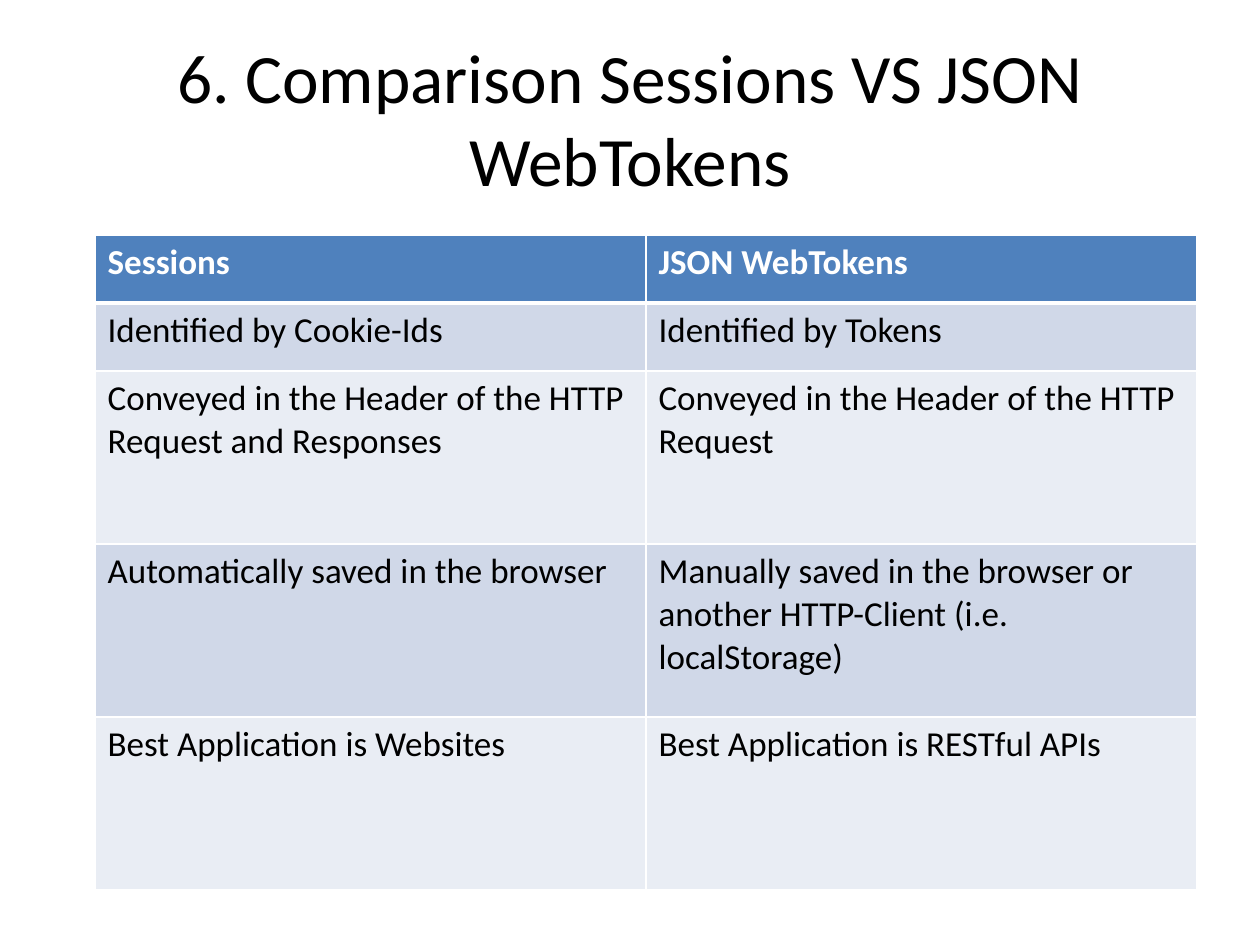
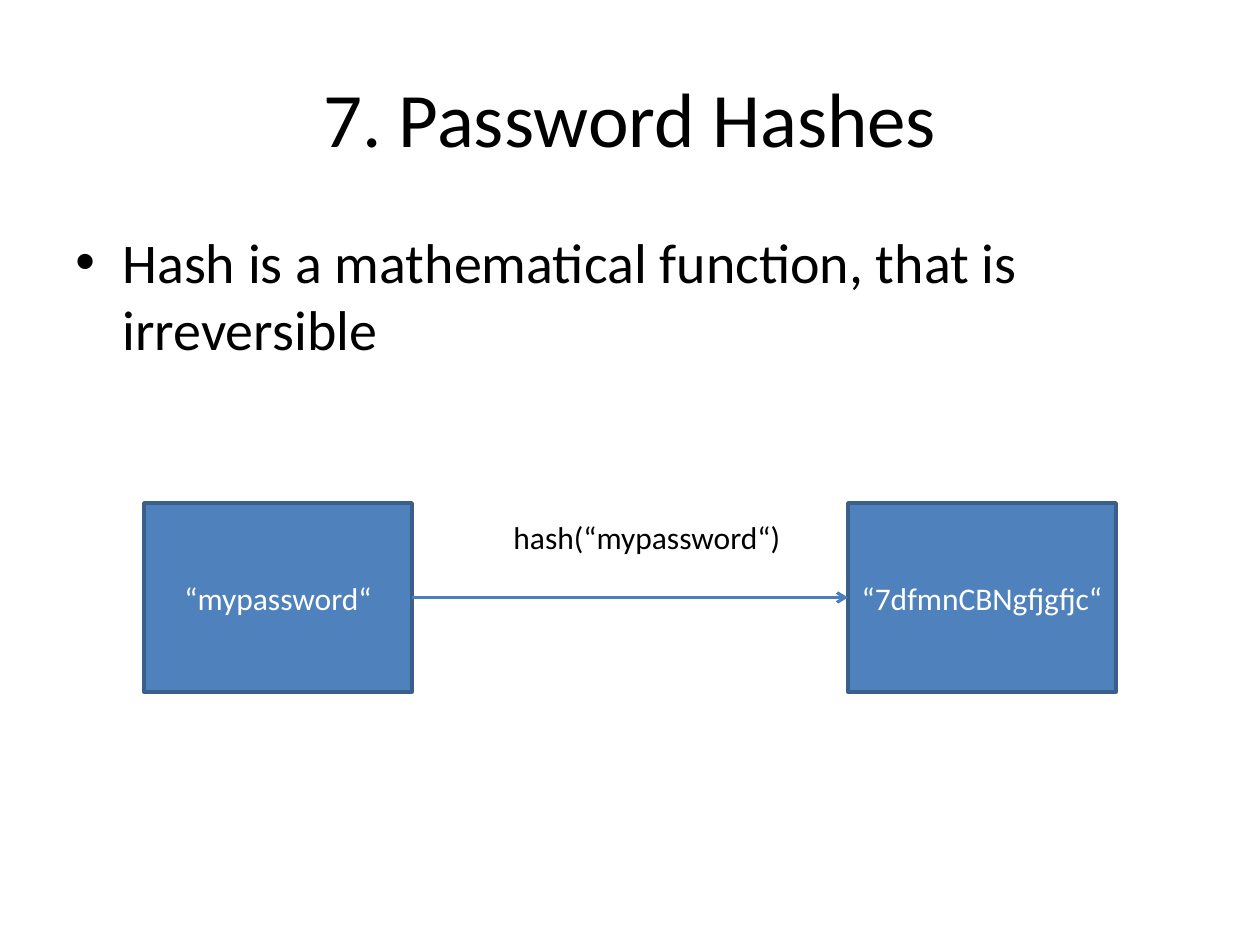
from lxml import etree
from pptx import Presentation
from pptx.dml.color import RGBColor
from pptx.enum.shapes import MSO_CONNECTOR, MSO_SHAPE
from pptx.enum.text import MSO_ANCHOR, PP_ALIGN
from pptx.oxml.ns import qn
from pptx.util import Emu, Pt

EMU_PER_PX = 914400 / 126
FONT = "Calibri"
COLORS = {
    "text": "000000",
    "white": "FFFFFF",
    "blue": "4F81BD",
    "outline": "3A5F8C",
    "arrow": "4B7EBC",
    "band_dark": "D0D8E8",
    "band_light": "E9EDF4",
}
LEFT, CENTER = PP_ALIGN.LEFT, PP_ALIGN.CENTER
TOP, MIDDLE = MSO_ANCHOR.TOP, MSO_ANCHOR.MIDDLE
RECT, STRAIGHT = MSO_SHAPE.RECTANGLE, MSO_CONNECTOR.STRAIGHT
SITE_LEFT, SITE_RIGHT = 1, 3

COMPARISON = [
    ("Sessions", "JSON WebTokens"),
    ("Identified by Cookie-Ids", "Identified by Tokens"),
    ("Conveyed in the Header of the HTTP Request and Responses",
     "Conveyed in the Header of the HTTP Request"),
    ("Automatically saved in the browser",
     "Manually saved in the browser or another HTTP-Client (i.e. localStorage)"),
    ("Best Application is Websites", "Best Application is RESTful APIs"),
]
ROW_HEIGHTS = [68, 68, 173, 173, 173]
COLUMN_WIDTH = 551


def px(*lengths):
    return [Emu(round(n * EMU_PER_PX)) for n in lengths]


def rgb(name):
    return RGBColor.from_string(COLORS[name])


def write(tf, text, size, color="text", align=LEFT, bold=False):
    p = tf.paragraphs[0]
    p.alignment = align
    r = p.add_run()
    r.text = text
    for name, value in {"name": FONT, "size": Pt(size), "bold": bold}.items():
        setattr(r.font, name, value)
    r.font.color.rgb = rgb(color)
    return p


def add_text(slide, box, text, size, align=LEFT, anchor=TOP, wrap=True):
    tf = slide.shapes.add_textbox(*px(*box)).text_frame
    tf.word_wrap = wrap
    tf.vertical_anchor = anchor
    return write(tf, text, size, align=align)


def add_title(slide, text, size):
    add_text(slide, (63, 38, 1134, 158), text, size, CENTER, MIDDLE)


def add_bullet(slide, box, text, size, indent):
    p = add_text(slide, box, text, size)
    pPr = p._p.get_or_add_pPr()
    hang = px(indent)[0]
    pPr.set("marL", str(hang))
    pPr.set("indent", str(-hang))
    etree.SubElement(pPr, qn("a:buFont"), typeface="Arial")
    etree.SubElement(pPr, qn("a:buChar"), char="•")


def set_borders(cell, widths):
    """Draw white cell borders; widths maps L, R, T, B to points."""
    tcPr = cell._tc.get_or_add_tcPr()
    for side, width in widths.items():
        ln = etree.SubElement(tcPr, qn(f"a:ln{side}"), w=str(Pt(width)))
        fill = etree.SubElement(ln, qn("a:solidFill"))
        etree.SubElement(fill, qn("a:srgbClr"), val=COLORS["white"])


def add_comparison(slide, left, top, rows):
    columns = len(rows[0])
    frame = slide.shapes.add_table(
        len(rows), columns,
        *px(left, top, COLUMN_WIDTH * columns, sum(ROW_HEIGHTS)))
    table = frame.table
    for column in table.columns:
        column.width = px(COLUMN_WIDTH)[0]
    for i, texts in enumerate(rows):
        table.rows[i].height = px(ROW_HEIGHTS[i])[0]
        header = i == 0
        band = "blue" if header else "band_dark" if i % 2 else "band_light"
        for j, text in enumerate(texts):
            cell = table.cell(i, j)
            set_borders(cell, {"L": 1, "R": 1, "T": 3 if i == 1 else 1,
                               "B": 3 if header else 1})
            cell.fill.solid()
            cell.fill.fore_color.rgb = rgb(band)
            write(cell.text_frame, text, 20,
                  "white" if header else "text", bold=header)


def add_box(slide, left, text):
    sp = slide.shapes.add_shape(RECT, *px(left, 503, 268, 189))
    sp.shadow.inherit = False
    sp.fill.solid()
    sp.fill.fore_color.rgb = rgb("blue")
    sp.line.color.rgb = rgb("outline")
    sp.line.width = Pt(2)
    tf = sp.text_frame
    tf.word_wrap = True
    tf.vertical_anchor = MIDDLE
    write(tf, text, 18, "white", CENTER)
    return sp


def add_arrow(slide, source, target):
    line = slide.shapes.add_connector(STRAIGHT, 0, 0, 0, 0)
    line.begin_connect(source, SITE_RIGHT)
    line.end_connect(target, SITE_LEFT)
    line.line.color.rgb = rgb("arrow")
    line.line.width = Pt(1.75)
    etree.SubElement(line.line._get_or_add_ln(), qn("a:tailEnd"), type="arrow")
    etree.SubElement(line._element.spPr, qn("a:effectLst"))


def build_comparison(slide):
    add_title(slide, "6. Comparison Sessions VS JSON WebTokens", 39.6)
    add_comparison(slide, 95, 235, COMPARISON)


def build_hashes(slide):
    add_title(slide, "7. Password Hashes", 44)
    add_bullet(slide, (63, 221, 1134, 624),
               "Hash is a mathematical function, that is irreversible", 32, 47)
    password = add_box(slide, 144, "“mypassword“")
    hashed = add_box(slide, 848, "“7dfmnCBNgfjgfjc“")
    add_arrow(slide, password, hashed)
    add_text(slide, (501, 512, 295, 50), "hash(“mypassword“)", 18, wrap=False)


def main():
    prs = Presentation()
    prs.slide_width, prs.slide_height = px(1260, 945)
    blank = prs.slide_layouts[6]
    for build in (build_comparison, build_hashes):
        build(prs.slides.add_slide(blank))
    prs.save("out.pptx")


if __name__ == "__main__":
    main()
